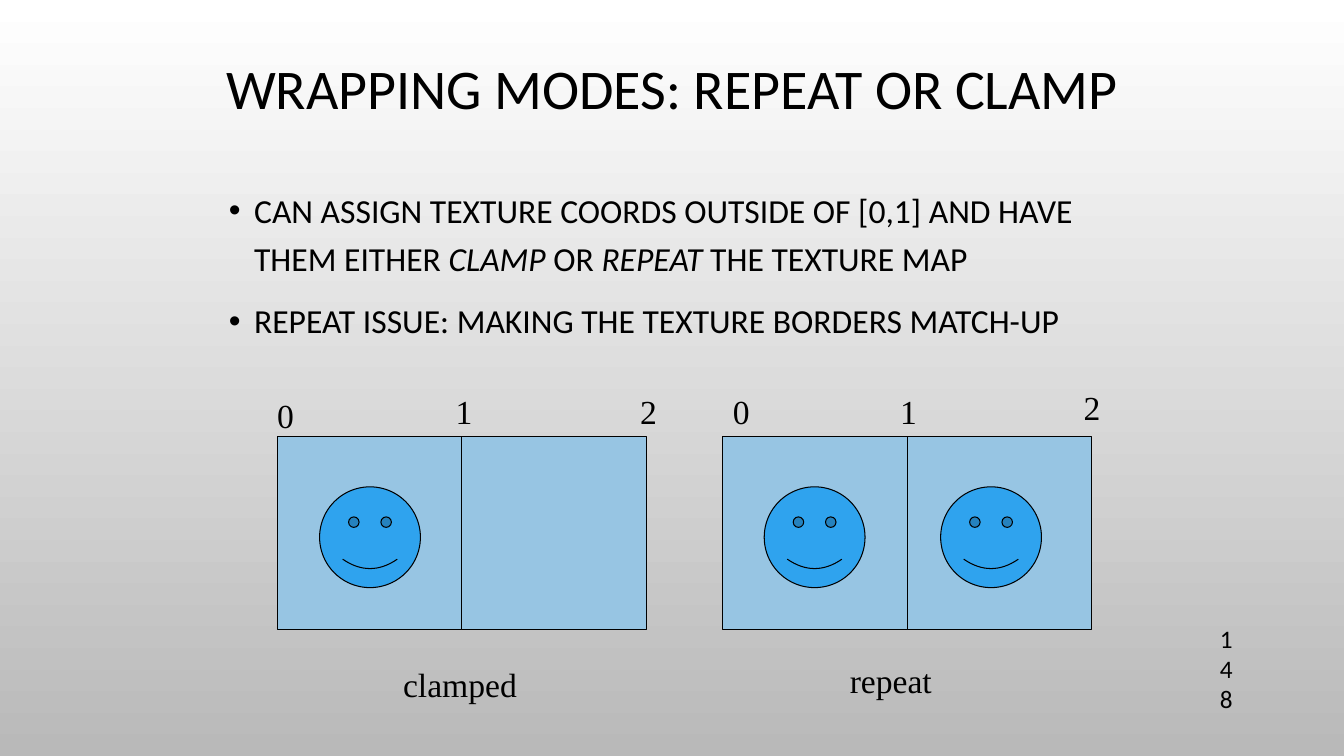
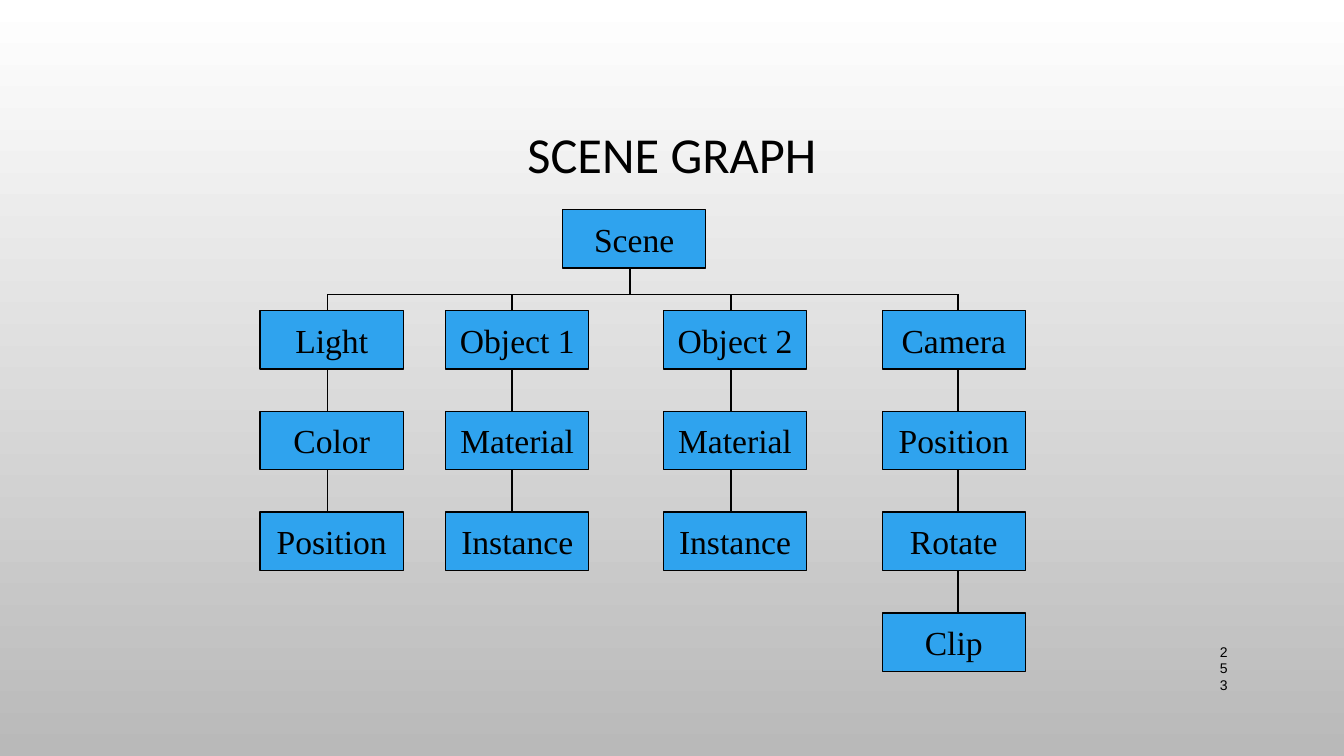
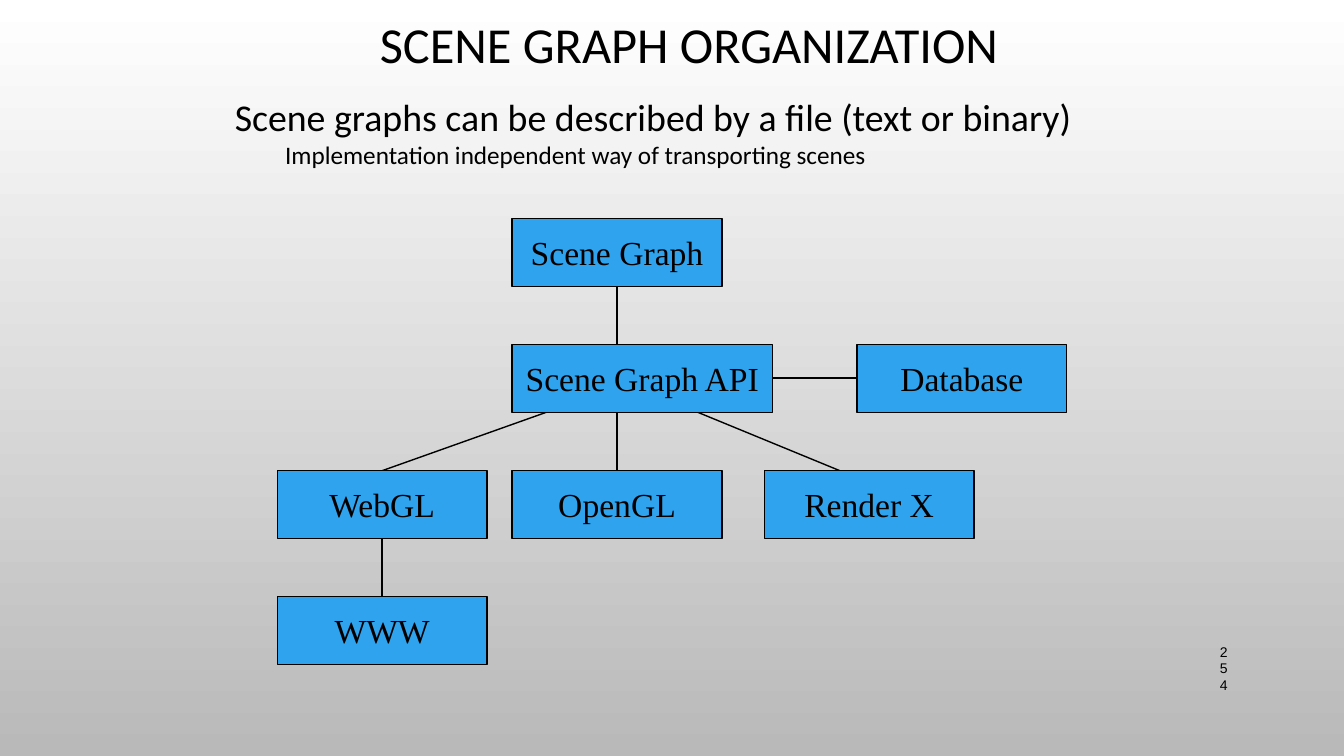
from dataclasses import dataclass

from lxml.etree import SubElement
from pptx import Presentation
from pptx.dml.color import RGBColor
from pptx.enum.shapes import MSO_CONNECTOR as Connector, MSO_SHAPE as Preset
from pptx.enum.text import MSO_ANCHOR as Anchor, MSO_AUTO_SIZE as AutoSize, PP_ALIGN as Align
from pptx.oxml.ns import qn
from pptx.util import Inches, Pt


@dataclass(frozen=True)
class Theme:
    black: RGBColor = RGBColor.from_string("000000")
    blue: RGBColor = RGBColor.from_string("2FA3EE")
    pale: RGBColor = RGBColor.from_string("97C5E3")
    backdrop: tuple = (RGBColor.from_string("FFFFFF"), RGBColor.from_string("B9B9B9"))
    heading: str = "Calibri"
    diagram: str = "Times New Roman"
    number: str = "Arial"
    big_title: int = 40
    title: int = 36
    lead: int = 27
    text: int = 24
    note: int = 18
    small: int = 10
    thin: float = 0.75
    line: float = 1


class Deck:
    """Builds slides in one shared style."""

    def __init__(self, theme):
        self.theme = theme
        self.slide = None
        self.presentation = Presentation()
        self.presentation.slide_width = Inches(13.33)
        self.presentation.slide_height = Inches(7.5)
        fill = self.presentation.slide_master.background.fill
        fill.gradient()
        fill.gradient_angle = 270
        for stop, color in zip(fill.gradient_stops, theme.backdrop):
            stop.color.rgb = color

    def place(self, shape, box):
        shape.left, shape.top, shape.width, shape.height = map(Inches, box)

    def style(self, paragraph, font, size):
        paragraph.font.name = font
        paragraph.font.size = Pt(size)
        paragraph.font.color.rgb = self.theme.black

    def indent(self, paragraph, left, first=0):
        properties = paragraph._p.get_or_add_pPr()
        properties.set("marL", str(Inches(left)))
        properties.set("indent", str(Inches(first)))
        return properties

    def start(self, title, box, size, layout="Title Only"):
        layouts = self.presentation.slide_layouts
        self.slide = self.presentation.slides.add_slide(layouts.get_by_name(layout))
        shape = self.slide.shapes.title
        self.place(shape, box)
        frame = shape.text_frame
        frame.text = title
        frame.auto_size = AutoSize.NONE
        frame.vertical_anchor = Anchor.MIDDLE
        paragraph = frame.paragraphs[0]
        paragraph.alignment = Align.CENTER
        paragraph.line_spacing = 0.9
        self.style(paragraph, self.theme.heading, size)

    def bullets(self, items, box):
        shape = self.slide.placeholders[1]
        self.place(shape, box)
        frame = shape.text_frame
        frame.auto_size = AutoSize.NONE
        for index, runs in enumerate(items):
            paragraph = frame.add_paragraph() if index else frame.paragraphs[0]
            paragraph.line_spacing = 1.2
            paragraph.space_before = Pt(10 if index else 0)
            properties = self.indent(paragraph, 0.25, -0.25)
            color = SubElement(properties, qn("a:buClr"))
            SubElement(color, qn("a:srgbClr"), val=str(self.theme.black))
            SubElement(properties, qn("a:buFont"), typeface="Arial")
            SubElement(properties, qn("a:buChar"), char="•")
            self.style(paragraph, self.theme.heading, self.theme.text)
            for text, italic in runs:
                run = paragraph.add_run()
                run.text = text
                if italic:
                    run.font.italic = True

    def text_box(self, box, wrap=True):
        frame = self.slide.shapes.add_textbox(*map(Inches, box)).text_frame
        frame.word_wrap = wrap
        return frame

    def label(self, text, left, top, width=0.37):
        frame = self.text_box((left, top, width, 0.5), wrap=False)
        frame.text = text
        self.style(frame.paragraphs[0], self.theme.diagram, self.theme.text)

    def outline(self, text, detail, box):
        frame = self.text_box(box)
        frame.text = text
        self.style(frame.paragraphs[0], self.theme.heading, self.theme.lead)
        paragraph = frame.add_paragraph()
        paragraph.text = detail
        paragraph.level = 1
        self.indent(paragraph, 0.5)
        self.style(paragraph, self.theme.heading, self.theme.note)

    def page_number(self, text, font, size):
        frame = self.text_box((11.5, 6.43, 0.84, 0.4))
        frame.text = text
        frame.vertical_anchor = Anchor.MIDDLE
        paragraph = frame.paragraphs[0]
        paragraph.level = 1
        self.indent(paragraph, 0.5)
        self.style(paragraph, font, size)

    def shape(self, preset, box, fill, line):
        shape = self.slide.shapes.add_shape(preset, *map(Inches, box))
        shape.shadow.inherit = False
        shape.fill.solid()
        shape.fill.fore_color.rgb = fill
        shape.line.color.rgb = self.theme.black
        shape.line.width = Pt(line)
        return shape

    def node(self, text, left, top, width, height):
        box = (left, top, width, height)
        shape = self.shape(Preset.RECTANGLE, box, self.theme.blue, self.theme.line)
        frame = shape.text_frame
        frame.word_wrap = False
        frame.vertical_anchor = Anchor.MIDDLE
        frame.text = text
        frame.paragraphs[0].alignment = Align.CENTER
        self.style(frame.paragraphs[0], self.theme.diagram, self.theme.text)

    def line(self, *ends):
        connector = self.slide.shapes.add_connector(Connector.STRAIGHT, *map(Inches, ends))
        connector.line.color.rgb = self.theme.black
        connector.line.width = Pt(self.theme.line)
        SubElement(connector._element.spPr, qn("a:effectLst"))


def wrapping_modes(deck):
    theme = deck.theme
    deck.start("WRAPPING MODES: REPEAT OR CLAMP", (1, 0.03, 11.33, 1.75),
               theme.big_title, "Title and Content")
    deck.bullets([
        [("CAN ASSIGN TEXTURE COORDS OUTSIDE OF [0,1] AND HAVE THEM EITHER ", False),
         ("CLAMP", True), (" OR ", False), ("REPEAT", True), (" THE TEXTURE MAP", False)],
        [("REPEAT ISSUE: MAKING THE TEXTURE BORDERS MATCH-UP", False)],
    ], (2.17, 1.75, 9, 1.92))
    tile_width = 1.83
    for panel_left in (2.75, 7.17):
        for column in range(2):
            box = (panel_left + column * tile_width, 4.33, tile_width, 1.92)
            deck.shape(Preset.RECTANGLE, box, theme.pale, theme.thin)
    for left in (3.17, 7.58, 9.33):
        face = deck.shape(Preset.SMILEY_FACE, (left, 4.83, 1, 1), theme.blue, theme.thin)
        face.adjustments[0] = 0.047
    deck.label("clamped", 3.9, 6.54, 1.34)
    deck.label("repeat", 8.33, 6.5, 1.02)
    for text, left, top in [("0", 2.65, 3.87), ("1", 4.42, 3.83), ("2", 6.25, 3.83),
                            ("0", 7.17, 3.83), ("1", 8.83, 3.83), ("2", 10.65, 3.79)]:
        deck.label(text, left, top)
    deck.page_number("148", theme.heading, theme.note)


def scene_graph(deck):
    theme = deck.theme
    deck.start("SCENE GRAPH", (1, 0.68, 11.33, 1.75), theme.title)
    width, height, first_row, rail = 1.42, 0.58, 3.08, 2.92
    branches = [
        (2.58, 3.25, ["Light", "Color", "Position"]),
        (4.42, 5.08, ["Object 1", "Material", "Instance"]),
        (6.58, 7.25, ["Object 2", "Material", "Instance"]),
        (8.75, 9.5, ["Camera", "Position", "Rotate", "Clip"]),
    ]
    deck.node("Scene", 5.58, 2.08, width, height)
    deck.line(6.25, 2.67, 6.25, rail)
    deck.line(branches[0][1], rail, branches[-1][1], rail)
    for left, stem, names in branches:
        for row, name in enumerate(names):
            top = first_row + row
            link_start = top - 1 + height if row else rail
            deck.line(stem, link_start, stem, top)
            deck.node(name, left, top, width, height)
    deck.page_number("253", theme.number, theme.small)


def scene_graph_organization(deck):
    theme = deck.theme
    deck.start("SCENE GRAPH ORGANIZATION", (3.42, -0.12, 6.83, 1.17), theme.title)
    width, height = 2.08, 0.67
    rows = [2.17 + 1.25 * row for row in range(4)]
    bottoms = [top + height for top in rows]
    for start_x, end_x, row in [(6.12, 6.12, 0), (5.42, 3.79, 1), (6.12, 6.12, 1),
                                (6.92, 8.33, 1), (3.79, 3.79, 2)]:
        deck.line(start_x, bottoms[row], end_x, rows[row + 1])
    deck.line(7.67, 3.75, 8.5, 3.75)
    for name, left, row in [("Scene Graph", 5.08, 0), ("Database", 8.5, 1), ("WebGL", 2.75, 2),
                            ("OpenGL", 5.08, 2), ("Render X", 7.58, 2), ("WWW", 2.75, 3)]:
        deck.node(name, left, rows[row], width, height)
    deck.node("Scene Graph API", 5.08, rows[1], 2.58, height)
    deck.outline("Scene graphs can be described by a file (text or binary)",
                 "Implementation independent way of transporting scenes",
                 (2.23, 0.88, 9.28, 0.86))
    deck.page_number("254", theme.number, theme.small)


def main():
    deck = Deck(Theme())
    wrapping_modes(deck)
    scene_graph(deck)
    scene_graph_organization(deck)
    deck.presentation.save("out.pptx")


if __name__ == "__main__":
    main()
